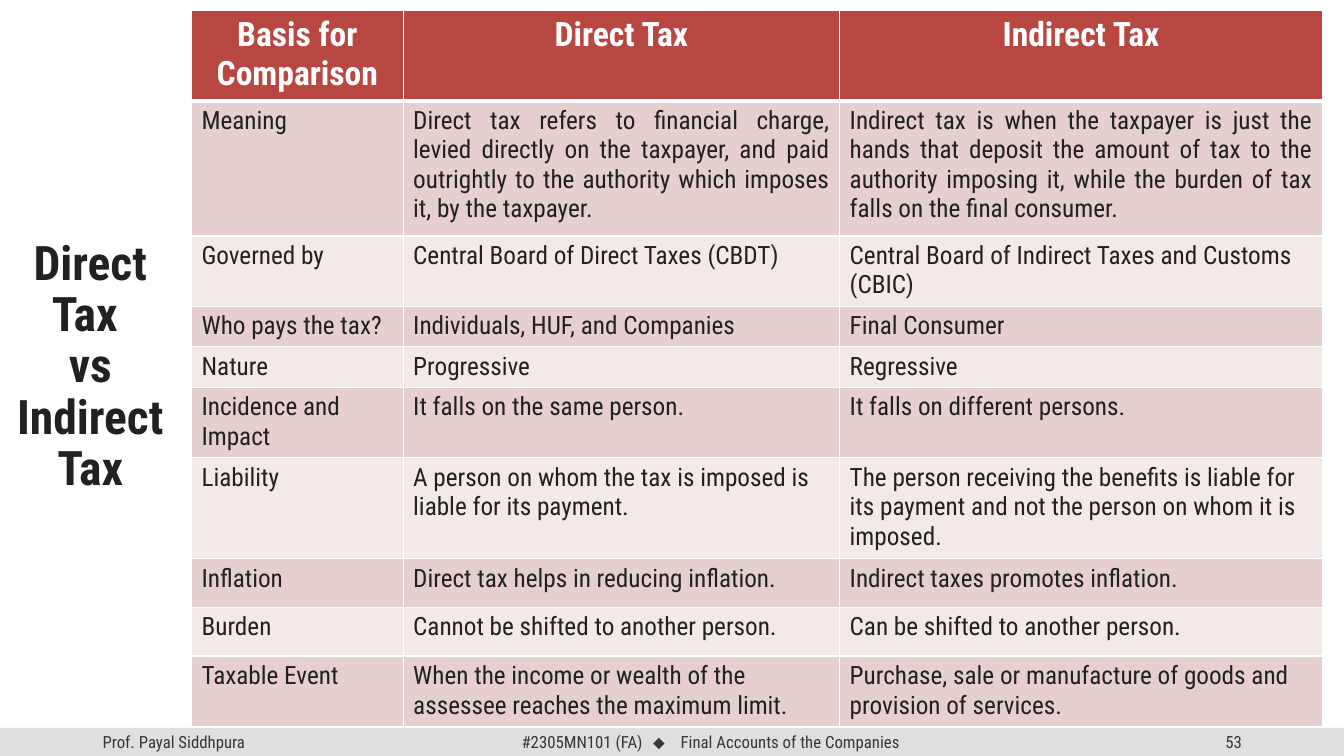
from lxml import etree
from pptx import Presentation
from pptx.dml.color import RGBColor
from pptx.enum import shapes, text
from pptx.oxml import ns
from pptx.util import Pt

FONT = "Roboto Condensed"
COLORS = {"header": "B84742", "odd": "E6CFCF", "even": "F3E9E9", "ink": "212121",
          "footer": "DFDFDF", "footer_ink": "373737", "white": "FFFFFF"}
LEFT, CENTER, RIGHT, JUSTIFY = (text.PP_ALIGN.LEFT, text.PP_ALIGN.CENTER,
                                text.PP_ALIGN.RIGHT, text.PP_ALIGN.JUSTIFY)

TITLE = "Direct Tax \vvs Indirect Tax"
ROWS = [
    ("Basis for Comparison", "Direct Tax", "Indirect Tax"),
    ("Meaning",
     "Direct tax refers to financial charge, levied directly on the taxpayer, and paid "
     "outrightly to the authority which imposes it, by the taxpayer.",
     "Indirect tax is when the taxpayer is just the hands that deposit the amount of tax to "
     "the authority imposing it, while the burden of tax falls on the final consumer."),
    ("Governed by", "Central Board of Direct Taxes (CBDT)",
     "Central Board of Indirect Taxes and Customs (CBIC)"),
    ("Who pays the tax?", "Individuals, HUF, and Companies", "Final Consumer"),
    ("Nature", "Progressive", "Regressive"),
    ("Incidence and Impact", "It falls on the same person.", "It falls on different persons."),
    ("Liability", "A person on whom the tax is imposed is liable for its payment.",
     "The person receiving the benefits is liable for its payment and not the person on "
     "whom it is imposed."),
    ("Inflation", "Direct tax helps in reducing inflation.",
     "Indirect taxes promotes inflation."),
    ("Burden", "Cannot be shifted to another person.", "Can be shifted to another person."),
    ("Taxable Event", "When the income or wealth of the assessee reaches the maximum limit.",
     "Purchase, sale or manufacture of goods and provision of services."),
]
COL_WIDTHS = [151.2, 311.8, 344.9]
ROW_HEIGHTS = [62.6, 96.5, 49, 28.4, 28.8, 49, 70, 34.8, 34.8, 49]
TABLE_LEFT, TABLE_TOP = 136.8, 7.2
SLIDE_W, SLIDE_H = 960, 540
FOOTER_TOP, FOOTER_H = 520, 20
FOOTER = [
    (66.2, 216, LEFT, ["Prof. Payal Siddhpura"]),
    (678.2, 216, RIGHT, ["53"]),
    (319, 377.3, CENTER, ["#2305MN101 (FA)", " ⬥ ", "Final Accounts of the Companies"]),
]


def rgb(name):
    return RGBColor.from_string(COLORS[name])


def style(r, size, color, bold=False, font=FONT):
    r.font.name, r.font.size, r.font.bold = font, Pt(size), bold
    r.font.color.rgb = rgb(color)


def add_text(s, left, top, width, height, runs, align, size, color, bold=False):
    tf = s.shapes.add_textbox(Pt(left), Pt(top), Pt(width), Pt(height)).text_frame
    tf.word_wrap = True
    tf.vertical_anchor = text.MSO_ANCHOR.MIDDLE
    p = tf.paragraphs[0]
    p.alignment = align
    if len(runs) == 1:
        p.text = runs[0]
    else:
        for words in runs:
            p.add_run().text = words
    for r in p.runs:
        style(r, size, color, bold)
    return p


def add_borders(cell, top, bottom):
    tcPr = cell._tc.get_or_add_tcPr()
    for side, width in (("L", 1), ("R", 1), ("T", top), ("B", bottom)):
        ln = etree.SubElement(tcPr, ns.qn("a:ln" + side), w=str(Pt(width)))
        fill = etree.SubElement(ln, ns.qn("a:solidFill"))
        etree.SubElement(fill, ns.qn("a:srgbClr"), val=COLORS["white"])


def add_footer(s):
    sp = s.shapes.add_shape(shapes.MSO_SHAPE.RECTANGLE, 0, Pt(FOOTER_TOP),
                            Pt(SLIDE_W), Pt(FOOTER_H))
    sp.shadow.inherit = False
    sp.fill.solid()
    sp.fill.fore_color.rgb = rgb("footer")
    sp.line.fill.background()
    for left, width, align, runs in FOOTER:
        p = add_text(s, left, FOOTER_TOP, width, FOOTER_H, runs, align, 12, "footer_ink")
        if len(runs) > 1:
            diamond = p.runs[1]
            diamond.font.name = "Arial"
            diamond.font._element.set("spc", "400")


def add_comparison(s):
    table = s.shapes.add_table(len(ROWS), len(COL_WIDTHS), Pt(TABLE_LEFT), Pt(TABLE_TOP),
                               Pt(sum(COL_WIDTHS)), Pt(sum(ROW_HEIGHTS))).table
    for column, width in zip(table.columns, COL_WIDTHS):
        column.width = Pt(width)
    for i, (words, height) in enumerate(zip(ROWS, ROW_HEIGHTS)):
        table.rows[i].height = Pt(height)
        header = i == 0
        fill = "header" if header else "odd" if i % 2 else "even"
        align = {0: CENTER, 1: JUSTIFY}.get(i, LEFT)
        for j, value in enumerate(words):
            cell = table.cell(i, j)
            add_borders(cell, 3 if i == 1 else 1, 3 if header else 1)
            cell.fill.solid()
            cell.fill.fore_color.rgb = rgb(fill)
            p = cell.text_frame.paragraphs[0]
            p.text = value
            p.alignment = align
            style(p.runs[0], 24 if header else 18, "white" if header else "ink", header)


def main():
    prs = Presentation()
    prs.slide_width, prs.slide_height = Pt(SLIDE_W), Pt(SLIDE_H)
    s = prs.slides.add_slide(prs.slide_layouts[6])
    add_footer(s)
    title = add_text(s, 0, 0, 128.9, 524.9, [TITLE], CENTER, 34, "ink", True)
    title.line_spacing = 0.9
    add_comparison(s)
    prs.save("out.pptx")


if __name__ == "__main__":
    main()
